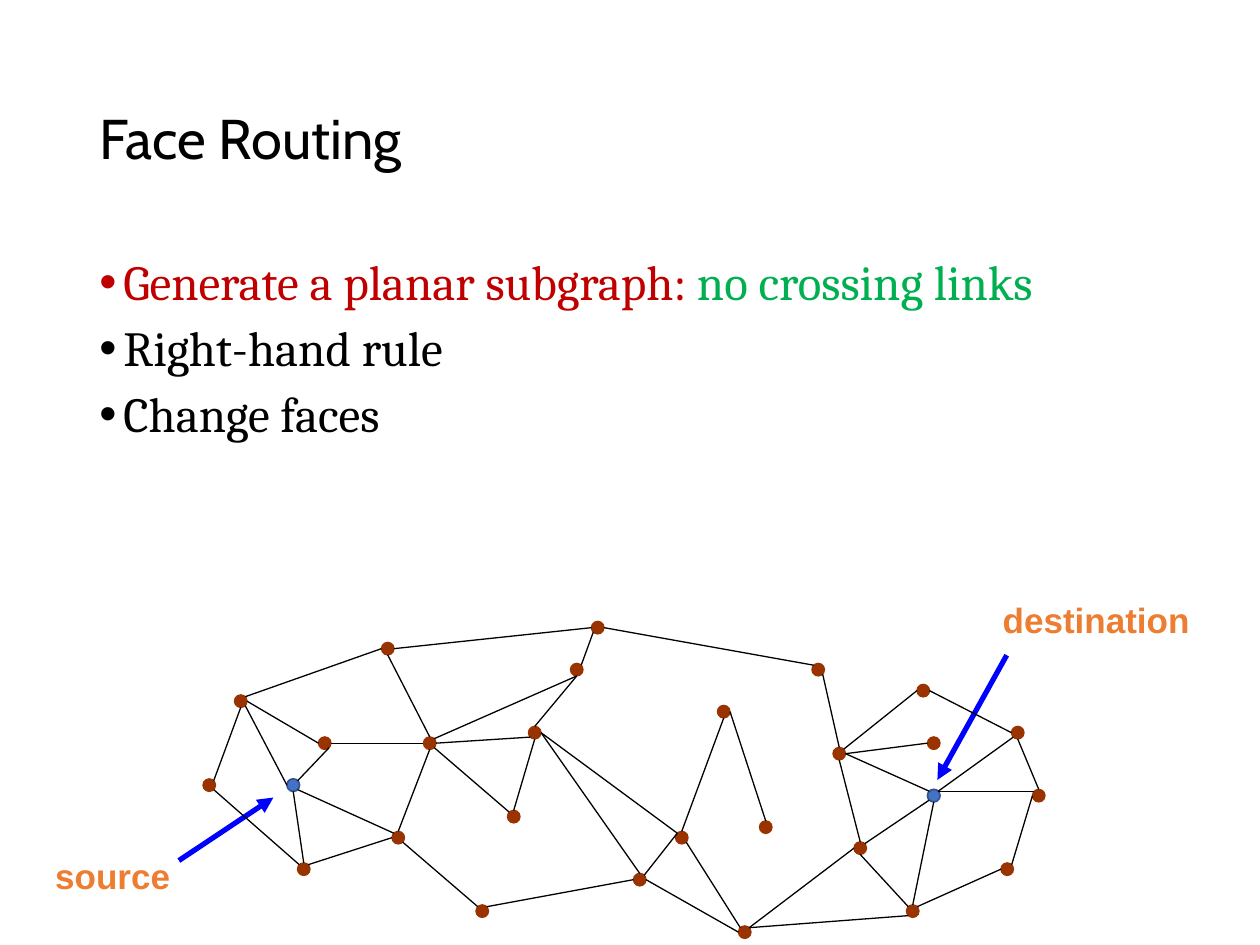
import math
from typing import NamedTuple

import pptx
import pptx.dml.color
import pptx.enum.shapes
import pptx.enum.text
import pptx.oxml
import pptx.oxml.ns
import pptx.util

COLUMNS, ROWS = 120, 90
CELL = pptx.util.Inches(10) // COLUMNS
NETWORK_LEFT, NETWORK_TOP = 19.93, 59.78
DOT = 1.2
RIM = {site: math.radians(45 * turn)
       for turn, site in enumerate(("e", "se", "s", "sw", "w", "nw", "n", "ne"))}


class Box(NamedTuple):
    left: float
    top: float
    width: float
    height: float


class Point(NamedTuple):
    x: float
    y: float


class Run(NamedTuple):
    words: str
    color: str


class Callout(NamedTuple):
    words: str
    box: Box
    tail: Point
    tip: Point


class Link(NamedTuple):
    start: str
    end: str


NODES = {
    "a": Point(0, 15), "b": Point(3, 7), "c": Point(9, 23), "source": Point(8, 15),
    "d": Point(11, 11), "e": Point(18, 20), "f": Point(17, 2), "g": Point(21, 11),
    "h": Point(26, 27), "i": Point(31, 10), "j": Point(35, 4), "k": Point(29, 18),
    "l": Point(37, 0), "m": Point(49, 8), "n": Point(58, 4), "o": Point(41, 24),
    "p": Point(45, 20), "q": Point(53, 19), "r": Point(62, 21), "s": Point(51, 29),
    "t": Point(60, 12), "u": Point(68, 6), "v": Point(69, 11),
    "destination": Point(69, 16), "w": Point(77, 10), "x": Point(79, 16),
    "y": Point(76, 23), "z": Point(67, 27),
}
LINKS = (
    Link("a.ne", "b.s"), Link("b.ne", "f.w"), Link("f.e", "l.w"),
    Link("l.e", "n.nw"), Link("a.se", "c.nw"), Link("b.se", "source.w"),
    Link("b.e", "d.w"), Link("source.ne", "d.se"), Link("d.e", "g.w"),
    Link("g.n", "f.s"), Link("c.n", "source.s"), Link("c.ne", "e.w"),
    Link("e.nw", "source.se"), Link("e.n", "g.s"), Link("g.ne", "j.s"),
    Link("j.ne", "l.sw"), Link("g.e", "i.sw"), Link("j.s", "i.n"),
    Link("g.se", "k.nw"), Link("i.s", "k.n"), Link("e.se", "h.nw"),
    Link("h.ne", "o.w"), Link("o.n", "i.e"), Link("o.ne", "p.nw"),
    Link("p.nw", "i.e"), Link("p.n", "m.s"), Link("m.e", "q.n"),
    Link("p.se", "s.nw"), Link("s.w", "o.e"), Link("s.ne", "r.w"),
    Link("r.n", "t.s"), Link("t.n", "n.se"), Link("t.ne", "u.w"),
    Link("t.e", "v.w"), Link("t.e", "destination.nw"),
    Link("destination.sw", "r.ne"), Link("r.s", "z.nw"), Link("s.ne", "z.sw"),
    Link("destination.s", "z.n"), Link("z.ne", "y.w"), Link("y.ne", "x.w"),
    Link("destination.ne", "x.nw"), Link("x.n", "w.s"),
    Link("destination.ne", "w.sw"), Link("w.w", "u.e"),
)
CALLOUTS = (
    Callout("source", Box(4.08, 80.76, 14.4, 5.16),
            Point(17.04, 81.96), Point(26.04, 75.96)),
    Callout("destination", Box(94.32, 56.4, 22.8, 5.16),
            Point(95.88, 62.4), Point(89.28, 74.28)),
)
RULES = (
    (Run("Generate a planar subgraph:", "C00000"), Run(" no crossing links", "00B050")),
    (Run("Right-hand rule", "000000"),),
    (Run("Change faces", "000000"),),
)


def rgb(color: str) -> pptx.dml.color.RGBColor:
    return pptx.dml.color.RGBColor.from_string(color)


def cells(*lengths: float) -> list[int]:
    return [round(length * CELL) for length in lengths]


def write(shape, paragraphs, *, font: str, size: float, bold: bool = False,
          spacing: float = 1.0, before: float = 0, bullet: str = "",
          middle: bool = False) -> None:
    frame = shape.text_frame
    frame.word_wrap = True
    frame.auto_size = pptx.enum.text.MSO_AUTO_SIZE.NONE
    frame.vertical_anchor = (pptx.enum.text.MSO_ANCHOR.MIDDLE if middle
                             else pptx.enum.text.MSO_ANCHOR.TOP)
    for index, runs in enumerate(paragraphs):
        paragraph = frame.add_paragraph() if index else frame.paragraphs[0]
        paragraph.alignment = pptx.enum.text.PP_ALIGN.LEFT
        paragraph.line_spacing = spacing
        paragraph.space_before = pptx.util.Pt(before)
        if bullet:
            properties = paragraph._p.get_or_add_pPr()
            indent = pptx.util.Inches(0.19)
            properties.set("marL", str(indent))
            properties.set("indent", str(-indent))
            for tag, name, value in (("a:buFont", "typeface", "Arial"),
                                     ("a:buChar", "char", bullet)):
                mark = pptx.oxml.parse_xml(f"<{tag} {pptx.oxml.ns.nsdecls('a')}/>")
                mark.set(name, value)
                properties.append(mark)
        for part in runs:
            run = paragraph.add_run()
            run.text = part.words
            run.font.name = font
            run.font.size = pptx.util.Pt(size)
            run.font.bold = bold
            run.font.color.rgb = rgb(part.color)


def draw_line(slide, start: Point, end: Point, color: str, width: float,
              arrow: bool = False) -> None:
    line = slide.shapes.add_connector(
        pptx.enum.shapes.MSO_CONNECTOR.STRAIGHT, *cells(*start, *end))
    line.line.color.rgb = rgb(color)
    line.line.width = pptx.util.Pt(width)
    namespace = pptx.oxml.ns.nsdecls("a")
    if arrow:
        line.line._get_or_add_ln().append(
            pptx.oxml.parse_xml(f'<a:tailEnd {namespace} type="triangle"/>'))
    line._element.spPr.append(pptx.oxml.parse_xml(f"<a:effectLst {namespace}/>"))


def node_center(name: str) -> Point:
    node = NODES[name]
    return Point(NETWORK_LEFT + node.x, NETWORK_TOP + node.y)


def draw_node(slide, name: str) -> None:
    center = node_center(name)
    dot = slide.shapes.add_shape(
        pptx.enum.shapes.MSO_SHAPE.OVAL,
        *cells(center.x - DOT / 2, center.y - DOT / 2, DOT, DOT))
    endpoint = name in ("source", "destination")
    dot.shadow.inherit = False
    dot.fill.solid()
    dot.fill.fore_color.rgb = rgb("4472C4" if endpoint else "993300")
    dot.line.color.rgb = rgb("325491" if endpoint else "993300")
    dot.line.width = pptx.util.Pt(1 if endpoint else 0.75)


def rim_point(site: str) -> Point:
    name, side = site.split(".")
    center = node_center(name)
    return Point(center.x + DOT / 2 * math.cos(RIM[side]),
                 center.y + DOT / 2 * math.sin(RIM[side]))


def main() -> None:
    deck = pptx.Presentation()
    deck.slide_width, deck.slide_height = cells(COLUMNS, ROWS)
    slide = deck.slides.add_slide(deck.slide_layouts[5])

    title = slide.shapes.title
    title.left, title.top, title.width, title.height = cells(8.28, 4.8, 103.44, 17.4)
    write(title, [[Run("Face Routing", "000000")]], font="Cabin", size=32,
          spacing=0.9, middle=True)
    rules = slide.shapes.add_textbox(*cells(8.28, 24, 103.44, 57.12))
    write(rules, RULES, font="Cambria", size=28, spacing=0.9, before=7.5, bullet="•")

    for callout in CALLOUTS:
        label = slide.shapes.add_textbox(*cells(*callout.box))
        write(label, [[Run(callout.words, "ED7D31")]], font="Arial", size=20,
              bold=True, middle=True)
        draw_line(slide, callout.tail, callout.tip, "0000FF", 3, arrow=True)
    for name in NODES:
        draw_node(slide, name)
    for link in LINKS:
        draw_line(slide, rim_point(link.start), rim_point(link.end), "000000", 0.75)

    deck.save("out.pptx")


if __name__ == "__main__":
    main()
